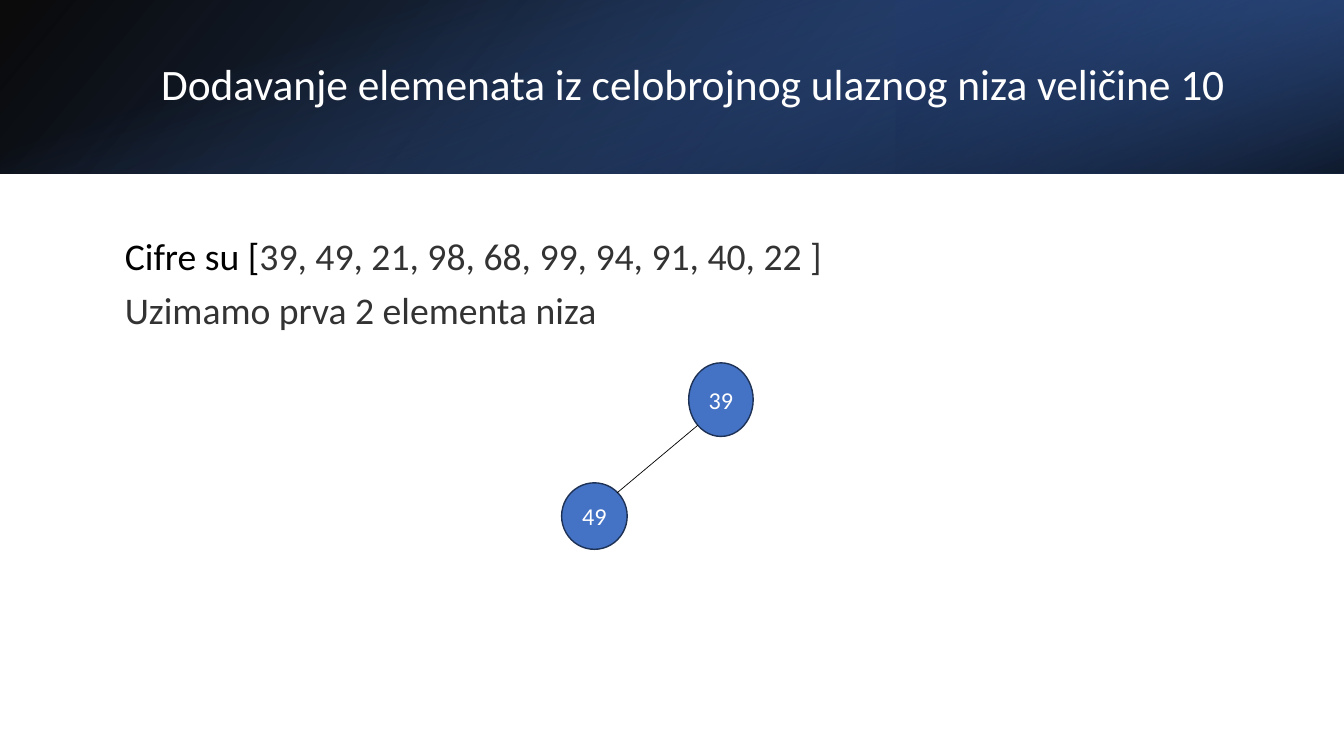
from lxml import etree
from pptx import Presentation
from pptx import util as u
from pptx.dml.color import RGBColor
from pptx.enum import shapes, text
from pptx.oxml import parse_xml
from pptx.oxml.ns import nsdecls, qn

THEME = {
    "font": "Calibri",
    "white": "FFFFFF", "black": "000000", "gray": "333333",
    "blue": "4472C4", "mid": "2F5597", "navy": "203864", "edge": "1E3256",
    "title": 31, "body": 26.9, "node": 17.3,
}

deck = Presentation()
deck.slide_width, deck.slide_height = u.Inches(13.33), u.Inches(7.5)
slide = deck.slides.add_slide(deck.slide_layouts[6])
items = slide.shapes
col, row = deck.slide_width / 100, deck.slide_height / 100


def grid(*spots):
    """Turn alternating columns and rows (percent of the slide) into lengths."""
    return [round(n * (row if i % 2 else col)) for i, n in enumerate(spots)]


def write(shape, lines, size, align=text.PP_ALIGN.LEFT, anchor=text.MSO_ANCHOR.TOP,
          inset=0.1, before=0, after=0, lead=1.0):
    """Fill a shape with lines, each a list of (words, colour) runs."""
    frame = shape.text_frame
    frame.word_wrap = True
    frame.vertical_anchor = anchor
    frame.margin_left = frame.margin_right = u.Inches(inset)
    frame.margin_top = frame.margin_bottom = u.Inches(inset / 2)
    for i, line in enumerate(lines):
        para = frame.add_paragraph() if i else frame.paragraphs[0]
        para.alignment, para.line_spacing = align, lead
        para.space_before, para.space_after = u.Pt(before), u.Pt(after)
        for words, tone in line:
            run = para.add_run()
            run.text = words
            run.font.name, run.font.size = THEME["font"], u.Pt(THEME[size])
            run.font.color.rgb = RGBColor.from_string(THEME[tone])


# Header: three translucent gradients, stops as (place, colour, opacity)
high = 22.93
bands = [
    ((0, 0, 100, high), 0, True, 140, [(0, "black", 96), (100, "mid", 100)]),
    ((66.67, 0, 33.33, high), 180, True, 320, [(19, "navy", 68), (100, "blue", 79)]),
    ((43.55, -77.4, 12.9, 177.73), 90, False, 340, [(23, "blue", 0), (99, "black", 74)]),
]
for spot, turn, flip, angle, stops in bands:
    band = items.add_shape(shapes.MSO_SHAPE.RECTANGLE, *grid(*spot))
    band.shadow.inherit = False
    band.line.fill.background()
    band.rotation = turn
    props = band._element.spPr
    if flip:
        props.find(qn("a:xfrm")).set("flipH", "1")
    marks = "".join(
        f'<a:gs pos="{place * 1000}"><a:srgbClr val="{THEME[tone]}">'
        f'<a:alpha val="{alpha * 1000}"/></a:srgbClr></a:gs>'
        for place, tone, alpha in stops)
    props.find(qn("a:prstGeom")).addnext(parse_xml(
        f'<a:gradFill {nsdecls("a")} rotWithShape="1"><a:gsLst>{marks}</a:gsLst>'
        f'<a:lin ang="{angle * 60000}" scaled="0"/></a:gradFill>'))

title = items.add_textbox(*grid(11.25, 5.07, 82.37, 12.8))
write(title, [[("Dodavanje elemenata iz celobrojnog ulaznog niza veličine 10", "white")]],
      "title", anchor=text.MSO_ANCHOR.MIDDLE, lead=0.9)

body = items.add_textbox(*grid(8.55, 30.8, 83.12, 61.2))
write(body, [
    [("Cifre su [", "black"), ("39, 49, 21, 98, 68, 99, 94, 91, 40, 22 ]", "gray")],
    [("Uzimamo prva 2 elementa niza", "gray")],
], "body", before=9.6, lead=0.9)

# Heap: root and its left child
nodes = [("39", (51.24, 48, 4.8, 9.73)), ("49", (41.79, 63.87, 4.88, 8.8))]
for value, spot in nodes:
    node = items.add_shape(shapes.MSO_SHAPE.OVAL, *grid(*spot))
    node.shadow.inherit = False
    node.fill.solid()
    node.fill.fore_color.rgb = RGBColor.from_string(THEME["blue"])
    node.line.color.rgb = RGBColor.from_string(THEME["edge"])
    node.line.width = u.Pt(1)
    write(node, [[(value, "white")]], "node", align=text.PP_ALIGN.CENTER,
          anchor=text.MSO_ANCHOR.MIDDLE, inset=0, after=6)

edge = items.add_connector(shapes.MSO_CONNECTOR.STRAIGHT, *grid(51.91, 56.27, 45.91, 65.2))
edge.line.color.rgb = RGBColor.from_string(THEME["black"])
edge.line.width = u.Pt(0.5)
etree.SubElement(edge._element.spPr, qn("a:effectLst"))

deck.save("out.pptx")
